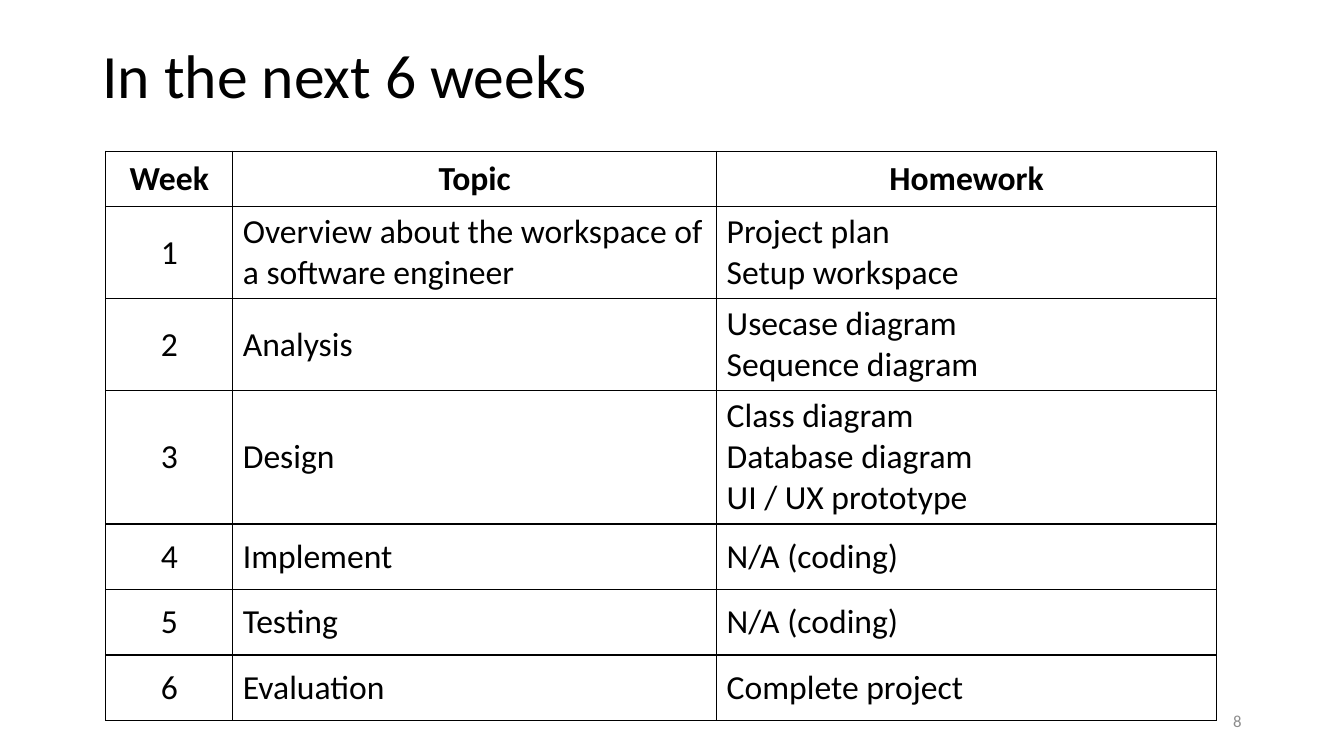
import pptx
import pptx.dml.color
import pptx.enum.text
import pptx.oxml
import pptx.oxml.ns
import pptx.util

ALIGN = pptx.enum.text.PP_ALIGN
MIDDLE = pptx.enum.text.MSO_ANCHOR.MIDDLE
GRID_COLUMNS, GRID_ROWS = 160, 90

SCHEDULE = [
    ("Week", "Topic", "Homework"),
    ("1", "Overview about the workspace of a software engineer",
     "Project plan\nSetup workspace"),
    ("2", "Analysis", "Usecase diagram\nSequence diagram"),
    ("3", "Design", "Class diagram\nDatabase diagram\nUI / UX prototype"),
    ("4", "Implement", "N/A (coding)"),
    ("5", "Testing", "N/A (coding)"),
    ("6", "Evaluation", "Complete project"),
]


def color(hex_string):
    return pptx.dml.color.RGBColor.from_string(hex_string)


class SlideBuilder:
    """Holds the style, the grid and the current slide."""

    font_name = "Calibri"
    ink, paper, muted = "000000", "FFFFFF", "8C8C8C"

    def __init__(self, presentation):
        self.column = presentation.slide_width / GRID_COLUMNS
        self.row = presentation.slide_height / GRID_ROWS
        self.slide = presentation.slides.add_slide(presentation.slide_layouts[5])
        self.slide.background.fill.solid()
        self.slide.background.fill.fore_color.rgb = color(self.paper)

    def box(self, left, top, width, height):
        return (round(left * self.column), round(top * self.row),
                round(width * self.column), round(height * self.row))

    def set_text(self, frame, text, size, ink, align=ALIGN.LEFT, bold=False):
        frame.text = text
        frame.word_wrap = True
        for paragraph in frame.paragraphs:
            paragraph.alignment = align
            paragraph.font.name = self.font_name
            paragraph.font.size = pptx.util.Pt(size)
            paragraph.font.bold = bold
            paragraph.font.color.rgb = color(ink)

    def title(self, text, *place):
        shape = self.slide.shapes.title
        shape.left, shape.top, shape.width, shape.height = self.box(*place)
        self.set_text(shape.text_frame, text, 44, self.ink)
        shape.text_frame.vertical_anchor = MIDDLE
        shape.text_frame.paragraphs[0].line_spacing = 0.9

    def label(self, text, *place):
        shape = self.slide.shapes.add_textbox(*self.box(*place))
        self.set_text(shape.text_frame, text, 12, self.muted, ALIGN.RIGHT)
        shape.text_frame.vertical_anchor = MIDDLE

    def cell_borders(self, cell):
        properties = cell._tc.get_or_add_tcPr()
        for side in ("lnL", "lnR", "lnT", "lnB"):
            properties.append(pptx.oxml.parse_xml(
                f'<a:{side} {pptx.oxml.ns.nsdecls("a")} w="{pptx.util.Pt(1)}">'
                f'<a:solidFill><a:srgbClr val="{self.ink}"/></a:solidFill></a:{side}>'))

    def table(self, records, left, top, widths, heights):
        place = self.box(left, top, sum(widths), sum(heights))
        table = self.slide.shapes.add_table(len(records), len(widths), *place).table
        table.horz_banding = False
        for column, width in zip(table.columns, widths):
            column.width = round(width * self.column)
        for row, height in zip(table.rows, heights):
            row.height = round(height * self.row)
        for row_index, record in enumerate(records):
            for column_index, text in enumerate(record):
                cell = table.cell(row_index, column_index)
                header = row_index == 0
                centered = header or column_index == 0
                self.set_text(cell.text_frame, text, 24, self.ink,
                              ALIGN.CENTER if centered else ALIGN.LEFT, header)
                cell.vertical_anchor = MIDDLE
                self.cell_borders(cell)
                cell.fill.solid()
                cell.fill.fore_color.rgb = color(self.paper)


def main():
    presentation = pptx.Presentation()
    presentation.slide_width = pptx.util.Inches(13.33)
    presentation.slide_height = pptx.util.Inches(7.5)
    builder = SlideBuilder(presentation)

    # Heading
    builder.title("In the next 6 weeks", 11, 0.6, 138, 17.4)

    # Weekly schedule
    builder.table(SCHEDULE, 12.6, 18, [15.12, 57.6, 59.52], [6.6, 8.52] + [7.8] * 5)

    # Slide number
    builder.label("8", 113, 83.4, 36, 4.8)

    presentation.save("out.pptx")


if __name__ == "__main__":
    main()
